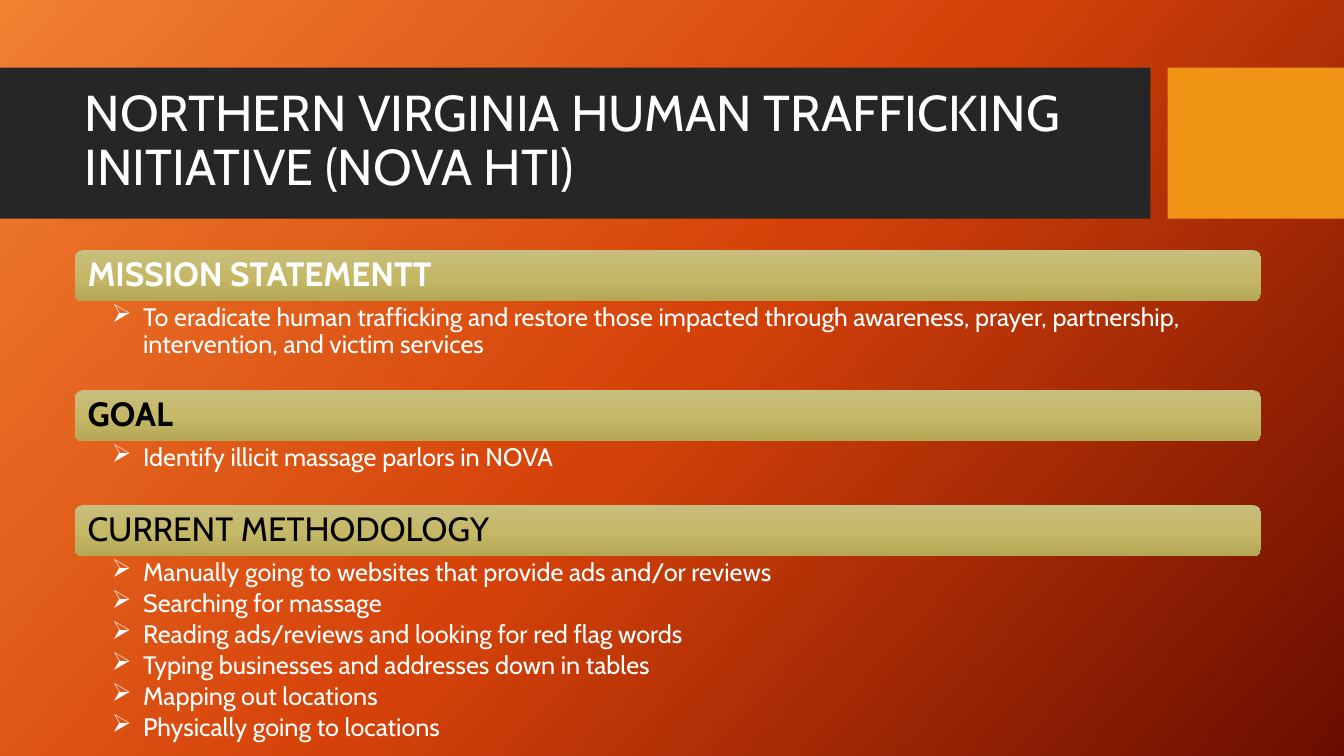
from copy import deepcopy
from dataclasses import dataclass

from lxml.etree import SubElement
from pptx import Presentation
from pptx.dml.color import RGBColor
from pptx.enum.shapes import MSO_SHAPE
from pptx.enum.text import MSO_ANCHOR, PP_ALIGN
from pptx.oxml.ns import qn
from pptx.util import Inches, Pt


@dataclass(frozen=True)
class Theme:
    """Colours, font and type sizes of the slide."""
    font: str = "Cabin"
    white: str = "FFFFFF"
    black: str = "000000"
    band: str = "262626"
    accent: str = "F09415"
    back: tuple = ("F18031", "D54209", "6A0D00")
    bar: tuple = ("C8BE7F", "C5B867", "B4A756")
    title: int = 36
    head: int = 24
    body: int = 18


class Deck:
    """Draws styled elements on the current slide."""

    def __init__(self, theme):
        """Open a blank widescreen slide."""
        self.theme = theme
        self.show = Presentation()
        self.show.slide_width = Inches(13.33)
        self.show.slide_height = Inches(7.5)
        self.slide = self.show.slides.add_slide(self.show.slide_layouts[6])

    def blend(self, fill, node, tones, angle):
        """Apply an even three-tone gradient, angle clockwise."""
        fill.gradient()
        fill.gradient_angle = 360 - angle
        stops = next(node.iter(qn("a:gsLst")))
        stops.insert(1, deepcopy(stops[0]))
        for i, (stop, tone) in enumerate(zip(fill.gradient_stops, tones)):
            stop.color.rgb = RGBColor.from_string(tone)
            stop.position = i / 2

    def ground(self):
        """Paint the slide background."""
        self.blend(self.slide.background.fill, self.slide.element, self.theme.back, 42)

    def block(self, box, fill, kind=MSO_SHAPE.RECTANGLE):
        """Add a borderless shape with a plain or blended fill."""
        shape = self.slide.shapes.add_shape(kind, *map(Inches, box))
        shape.shadow.inherit = False
        shape.line.fill.background()
        if isinstance(fill, tuple):
            self.blend(shape.fill, shape.element, fill, 90)
        else:
            shape.fill.solid()
            shape.fill.fore_color.rgb = RGBColor.from_string(fill)

    def text(self, text, box, size, tone, bold=False, bullet=None, after=0,
             anchor=MSO_ANCHOR.MIDDLE, inset=(0.1, 0.05, 0.1, 0.05)):
        """Add a text box with one paragraph per line of text."""
        frame = self.slide.shapes.add_textbox(*map(Inches, box)).text_frame
        frame.word_wrap = True
        frame.vertical_anchor = anchor
        (frame.margin_left, frame.margin_top,
         frame.margin_right, frame.margin_bottom) = map(Inches, inset)
        frame.text = text
        for para in frame.paragraphs:
            para.alignment = PP_ALIGN.LEFT
            para.line_spacing = 0.9
            para.space_after = Pt(size * after)
            font = para.runs[0].font
            font.name, font.size, font.bold = self.theme.font, Pt(size), bold
            font.color.rgb = RGBColor.from_string(tone)
            if bullet:
                para.level = 1
                props = para._p.get_or_add_pPr()
                props.set("marL", str(Inches(0.31)))
                props.set("indent", str(Inches(-0.31)))
                SubElement(props, qn("a:buChar"), char=bullet)

    def title(self, text):
        """Add the title band, its accent and its text."""
        self.block((0, 0.67, 11.41, 1.5), self.theme.band)
        self.block((11.58, 0.67, 1.75, 1.5), self.theme.accent)
        self.text(text, (0.74, 0.82, 10.51, 1.18), self.theme.title, self.theme.white)

    def topic(self, top, depth, head, lines, tone, bold):
        """Add a headed bullet list and return the next top."""
        left, width, bar = 0.74, 11.77, 0.51
        self.block((left, top, width, bar), self.theme.bar, MSO_SHAPE.ROUNDED_RECTANGLE)
        self.text(head, (0.77, top + 0.02, 11.72, 0.46), self.theme.head, tone,
                  bold=bold, inset=(0.1,) * 4)
        self.text("\n".join(lines), (left, top + bar, width, depth), self.theme.body,
                  self.theme.white, bullet="➢", after=0.15, anchor=MSO_ANCHOR.TOP,
                  inset=(0.37, 0.03, 0.14, 0.03))
        return top + bar + depth


def main():
    """Build and save the slide."""
    theme = Theme()
    deck = Deck(theme)
    deck.ground()
    deck.title("NORTHERN VIRGINIA HUMAN TRAFFICKING INITIATIVE (NOVA HTI)")
    topics = [
        (0.88, "MISSION STATEMENTT", [
            "To eradicate human trafficking and restore those impacted through "
            "awareness, prayer, partnership, intervention, and victim services",
        ], theme.white, True),
        (0.63, "GOAL", ["Identify illicit massage parlors in NOVA"], theme.black, True),
        (1.87, "CURRENT METHODOLOGY", [
            "Manually going to websites that provide ads and/or reviews",
            "Searching for massage",
            "Reading ads/reviews and looking for red flag words",
            "Typing businesses and addresses down in tables",
            "Mapping out locations",
            "Physically going to locations",
        ], theme.black, False),
    ]
    top = 2.48
    for topic in topics:
        top = deck.topic(top, *topic)
    deck.show.save("out.pptx")


if __name__ == "__main__":
    main()
